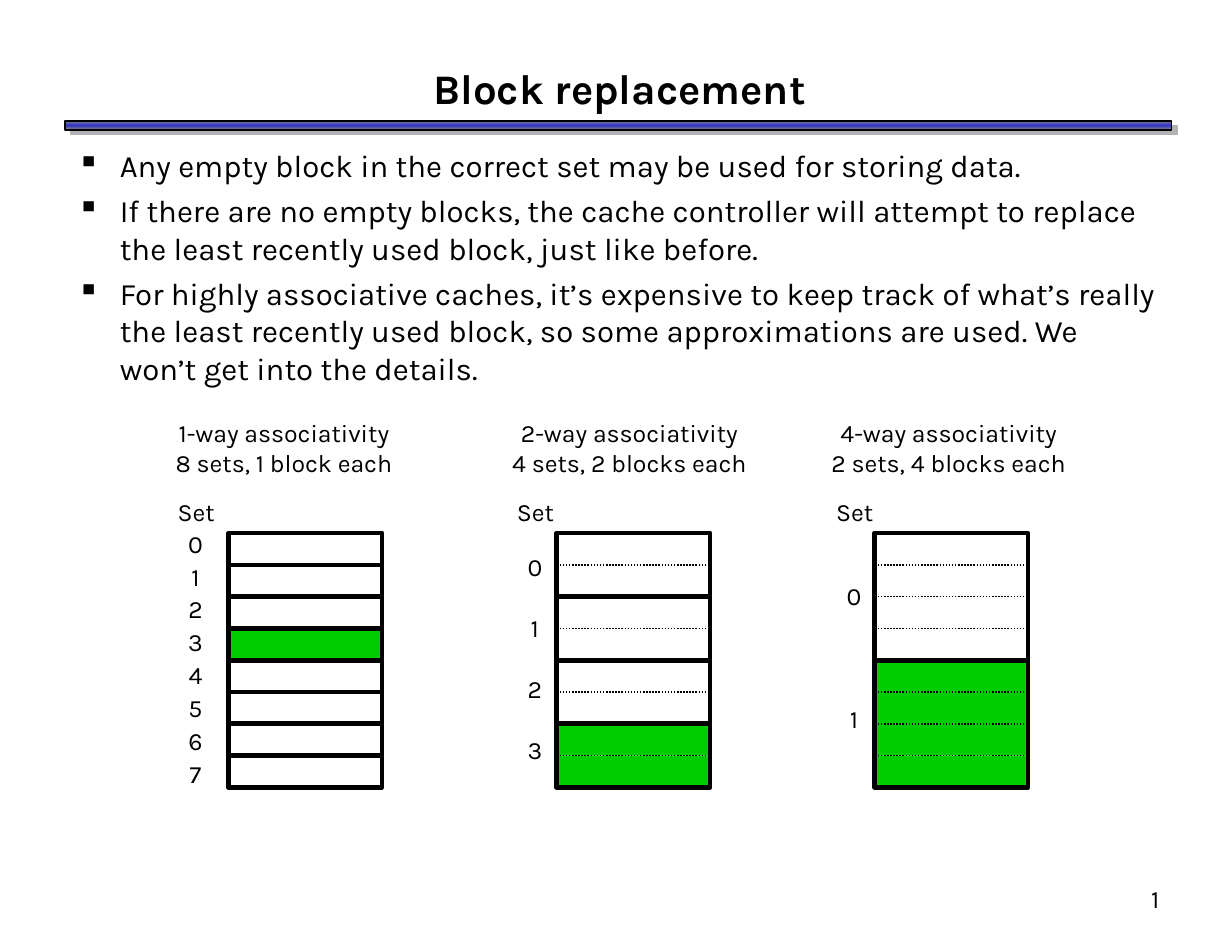
from lxml import etree
from pptx import Presentation
from pptx.dml.color import RGBColor
from pptx.enum.dml import MSO_LINE
from pptx.enum.shapes import MSO_CONNECTOR, MSO_SHAPE
from pptx.enum.text import MSO_ANCHOR as Anchor, PP_ALIGN as Align
from pptx.oxml import parse_xml
from pptx.oxml.ns import nsdecls, qn
from pptx.util import Inches, Pt

FONT = "Karla"
BLACK, GREEN, BLUE, GRAY, SHADE = "000000", "00CC00", "3333CC", "808080", "B2B2B2"

# Block grid: eight rows shared by the three caches
BLOCKS = 8
GRID_TOP = 4.76
ROW = 2.27 / BLOCKS
BLOCK_WIDTH = 1.37

POINTS = [
    "Any empty block in the correct set may be used for storing data.",
    "If there are no empty blocks, the cache controller will attempt to replace "
    "the least recently used block, just like before.",
    "For highly associative caches, it’s expensive to keep track of what’s really "
    "the least recently used block, so some approximations are used. "
    "We won’t get into the details.",
]

# ways, caption, chosen set, labels left, blocks left, caption width,
# top and height of the set numbers, space between them in points
CACHES = [
    (1, ["1-way associativity", "8 sets, 1 block each"], 3, 1.42, 2.04, 2.23, 4.66, 2.44, 2),
    (2, ["2-way associativity", "4 sets, 2 blocks each"], 3, 4.45, 4.97, 2.34, 4.87, 2.01, 20),
    (4, ["4-way associativity", "2 sets, 4 blocks each"], 1, 7.3, 7.81, 2.34, 5.13, 1.48, 60),
]


def color(value):
    return RGBColor.from_string(value)


def add_text(slide, box, lines, size=16, align=Align.CENTER, anchor=Anchor.MIDDLE,
             bold=False, wrap=False, gap=0):
    """Add one paragraph per line, with a gap before all but the first."""
    frame = slide.shapes.add_textbox(*map(Inches, box)).text_frame
    frame.word_wrap = wrap
    frame.vertical_anchor = anchor
    frame.margin_left = frame.margin_right = Inches(0.11)
    frame.margin_top = frame.margin_bottom = Inches(0.06)
    for index, line in enumerate(lines):
        paragraph = frame.add_paragraph() if index else frame.paragraphs[0]
        paragraph.alignment = align
        paragraph.space_before = Pt(gap if index else 0)
        run = paragraph.add_run()
        run.text = line
        run.font.name = FONT
        run.font.size = Pt(size)
        run.font.bold = bold
        run.font.color.rgb = color(BLACK)
    return frame


def add_bullets(frame, indent, gap):
    for paragraph in frame.paragraphs:
        paragraph.space_before = Pt(gap)
        props = paragraph._p.get_or_add_pPr()
        props.set("marL", str(Inches(indent)))
        props.set("indent", str(-Inches(indent)))
        etree.SubElement(props, qn("a:buChar")).set("char", "▪")


def add_box(slide, left, top, width, height, fill=None, line=None):
    box = slide.shapes.add_shape(MSO_SHAPE.RECTANGLE, *map(Inches, (left, top, width, height)))
    box.shadow.inherit = False
    if fill:
        box.fill.solid()
        box.fill.fore_color.rgb = color(fill)
    else:
        box.fill.background()
    if line:
        box.line.color.rgb = color(BLACK)
        box.line.width = Pt(line)
    else:
        box.line.fill.background()
    return box


def add_divider(slide, left, top):
    divider = slide.shapes.add_connector(
        MSO_CONNECTOR.STRAIGHT, *map(Inches, (left, top, left + BLOCK_WIDTH, top)))
    divider.line.color.rgb = color(BLACK)
    divider.line.width = Pt(1)
    divider.line.dash_style = MSO_LINE.ROUND_DOT
    etree.SubElement(divider._element.spPr, qn("a:effectLst"))


def add_title_bar(slide):
    bar = add_box(slide, 0.58, 1.08, 9.88, 0.08, fill=BLUE, line=1)
    stops = "".join(f'<a:gs pos="{pos}"><a:srgbClr val="{tone}"/></a:gs>'
                    for pos, tone in ((0, GRAY), (50000, BLUE), (100000, GRAY)))
    gradient = parse_xml(f'<a:gradFill {nsdecls("a")}><a:gsLst>{stops}</a:gsLst>'
                         '<a:lin ang="5400000" scaled="1"/></a:gradFill>')
    props = bar._element.spPr
    props.replace(props.find(qn("a:solidFill")), gradient)
    props.find(qn("a:effectLst")).append(parse_xml(
        f'<a:outerShdw {nsdecls("a")} blurRad="0" dist="{Pt(5)}" dir="{37 * 60000}" '
        f'algn="ctr" rotWithShape="0"><a:srgbClr val="{SHADE}"/></a:outerShdw>'))


def add_cache(slide, ways, caption, chosen, labels, left, caption_width,
              numbers_top, numbers_height, gap):
    sets = BLOCKS // ways
    set_height = ways * ROW
    # Captions and set numbers
    add_text(slide, (labels, 3.67, caption_width, 0.65), caption)
    add_text(slide, (labels, 4.38, 0.61, 0.38), [" Set"])
    add_text(slide, (labels + 0.15, numbers_top, 0.35, numbers_height),
             [str(number) for number in range(sets)], gap=gap)
    # Chosen set behind the outlines
    for block in range(ways):
        add_box(slide, left, GRID_TOP + (chosen * ways + block) * ROW,
                BLOCK_WIDTH, ROW, fill=GREEN)
    # Set outlines, with a divider between the blocks of a set
    for number in range(sets):
        set_top = GRID_TOP + number * set_height
        add_box(slide, left, set_top, BLOCK_WIDTH, set_height, line=3)
        for block in range(1, ways):
            add_divider(slide, left, set_top + block * ROW)


def main():
    deck = Presentation()
    deck.slide_width, deck.slide_height = Inches(11), Inches(8.5)
    slide = deck.slides.add_slide(deck.slide_layouts[6])

    # Heading
    add_title_bar(slide)
    add_text(slide, (0.58, 0.5, 9.9, 0.57), ["Block replacement"], size=27, bold=True, wrap=True)

    # Points
    body = add_text(slide, (0.58, 1.25, 9.87, 2.4), POINTS, size=20, align=Align.LEFT,
                    anchor=Anchor.TOP, wrap=True)
    add_bullets(body, indent=0.38, gap=5)

    # Cache diagrams
    for cache in CACHES:
        add_cache(slide, *cache)

    # Page number
    add_text(slide, (8.17, 7.83, 2.29, 0.57), ["1"], align=Align.RIGHT,
             anchor=Anchor.TOP, wrap=True)

    deck.save("out.pptx")


if __name__ == "__main__":
    main()
